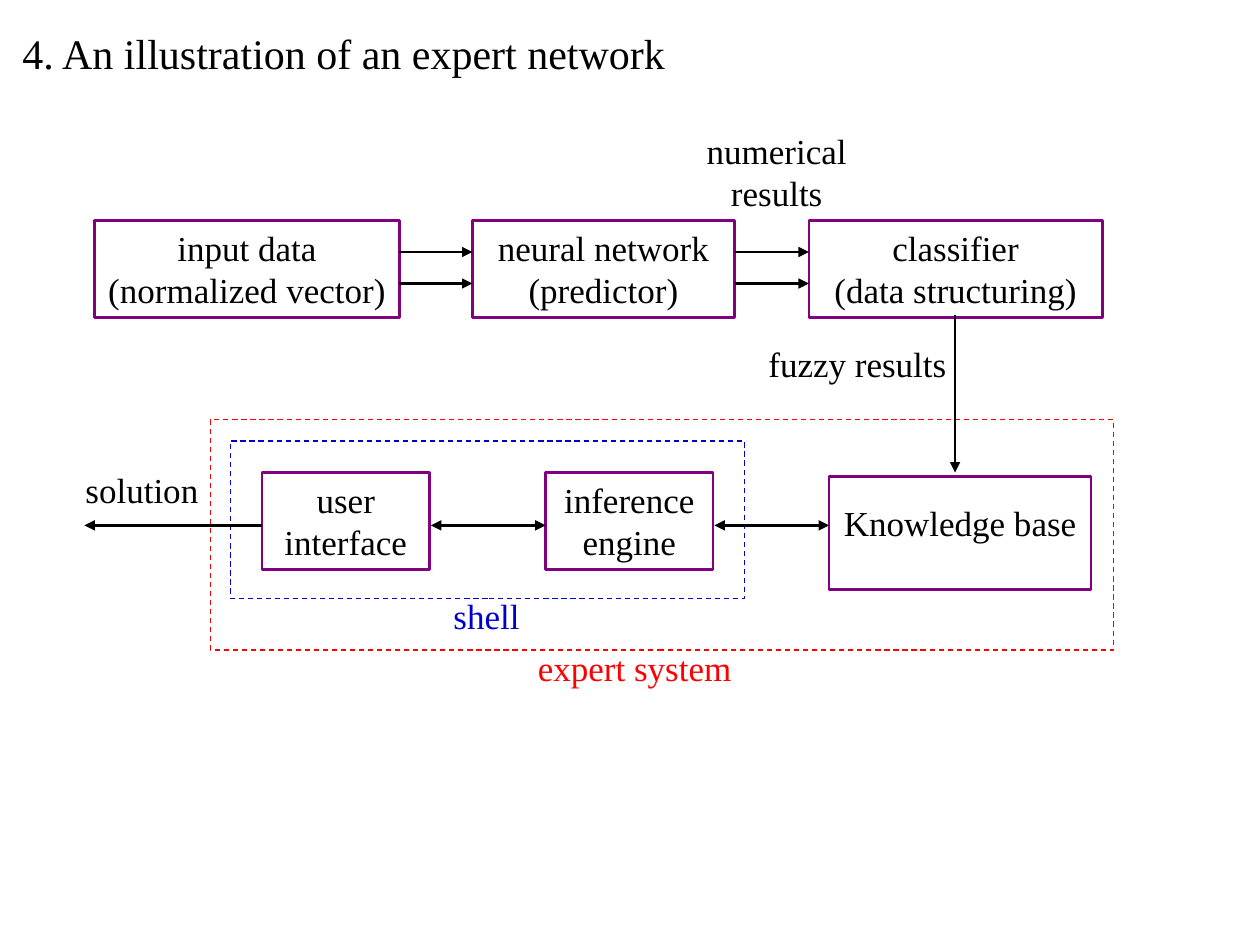
from lxml import etree
from pptx import Presentation
from pptx.dml.color import RGBColor
from pptx.enum.dml import MSO_LINE
from pptx.enum.shapes import MSO_CONNECTOR, MSO_SHAPE
from pptx.enum.text import MSO_ANCHOR, PP_ALIGN
from pptx.oxml.ns import qn
from pptx.util import Inches, Pt

RECTANGLE = MSO_SHAPE.RECTANGLE
STRAIGHT = MSO_CONNECTOR.STRAIGHT
DASH = MSO_LINE.DASH
TOP, MIDDLE = MSO_ANCHOR.TOP, MSO_ANCHOR.MIDDLE
LEFT, CENTER = PP_ALIGN.LEFT, PP_ALIGN.CENTER

BLACK = RGBColor(0x00, 0x00, 0x00)
RED = RGBColor(0xFF, 0x00, 0x00)
BLUE = RGBColor(0x00, 0x00, 0xCC)
PURPLE = RGBColor(0x80, 0x00, 0x80)
FONT = "Times New Roman"

BOX_HEIGHT = 0.77
PIPELINE_TOP = 1.75
SYSTEM_TOP = 3.75
SYSTEM_FLOW_Y = 4.17


def write_lines(shape, lines, color=BLACK, size=20, align=CENTER, anchor=TOP):
    """Put each line in its own paragraph."""
    frame = shape.text_frame
    frame.word_wrap = True
    frame.vertical_anchor = anchor
    for index, line in enumerate(lines):
        paragraph = frame.add_paragraph() if index else frame.paragraphs[0]
        paragraph.alignment = align
        run = paragraph.add_run()
        run.text = line
        run.font.name = FONT
        run.font.size = Pt(size)
        run.font.color.rgb = color


def add_label(slide, left, top, width, height, lines, **style):
    label = slide.shapes.add_textbox(
        Inches(left), Inches(top), Inches(width), Inches(height))
    write_lines(label, lines, **style)


def add_outline(slide, left, top, width, height, color, line_width):
    outline = slide.shapes.add_shape(
        RECTANGLE, Inches(left), Inches(top), Inches(width), Inches(height))
    outline.shadow.inherit = False
    outline.fill.background()
    outline.line.color.rgb = color
    outline.line.width = Pt(line_width)
    return outline


def add_dashed_frame(slide, left, top, width, height, color):
    frame = add_outline(slide, left, top, width, height, color, 0.75)
    frame.line.dash_style = DASH


def add_box(slide, left, top, width, lines, height=BOX_HEIGHT):
    box = add_outline(slide, left, top, width, height, PURPLE, 1.5)
    write_lines(box, lines)
    return box


def add_arrow(slide, start, end, both_ways=False):
    arrow = slide.shapes.add_connector(
        STRAIGHT, *(Inches(value) for value in (*start, *end)))
    arrow.line.color.rgb = BLACK
    arrow.line.width = Pt(1.5)
    line = arrow.line._get_or_add_ln()
    if both_ways:
        etree.SubElement(line, qn("a:headEnd"), type="triangle")
    etree.SubElement(line, qn("a:tailEnd"), type="triangle")
    etree.SubElement(arrow._element.spPr, qn("a:effectLst"))


def add_pipeline(slide):
    for left, width, lines in (
        (0.75, 2.42, ("input data", "(normalized vector)")),
        (3.75, 2.08, ("neural network", "(predictor)")),
        (6.42, 2.33, ("classifier", "(data structuring)")),
    ):
        add_box(slide, left, PIPELINE_TOP, width, lines)
    for start, end in ((3.17, 3.75), (5.83, 6.42)):
        for y in (2, 2.25):
            add_arrow(slide, (start, y), (end, y))
    add_label(slide, 5.5, 0.98, 1.33, BOX_HEIGHT, ("numerical", "results"))


def add_expert_system(slide):
    add_dashed_frame(slide, 1.67, 3.33, 7.17, 1.83, RED)
    add_dashed_frame(slide, 1.83, 3.5, 4.08, 1.25, BLUE)
    add_box(slide, 2.08, SYSTEM_TOP, 1.33, ("user", "interface"))
    add_box(slide, 4.33, SYSTEM_TOP, 1.33, ("inference", "engine"))
    knowledge_base = add_box(slide, 6.58, 3.78, 2.08, ("Knowledge base",), 0.9)
    knowledge_base.text_frame.margin_top = Inches(0.2)
    for start, end in ((3.42, 4.33), (5.67, 6.58)):
        add_arrow(slide, (start, SYSTEM_FLOW_Y), (end, SYSTEM_FLOW_Y), both_ways=True)
    add_arrow(slide, (2.08, SYSTEM_FLOW_Y), (0.67, SYSTEM_FLOW_Y))
    add_arrow(slide, (7.58, 2.5), (7.58, 3.75))
    for left, top, width, text, color in (
        (3.5, 4.67, 0.75, "shell", BLUE),
        (4.17, 5.08, 1.75, "expert system", RED),
        (0.58, 3.67, 1.17, "solution", BLACK),
        (6, 2.67, 1.67, "fuzzy results", BLACK),
    ):
        add_label(slide, left, top, width, 0.44, (text,), color=color, align=LEFT)


def main():
    presentation = Presentation()
    presentation.slide_width = Inches(10)
    presentation.slide_height = Inches(7.5)
    slide = presentation.slides.add_slide(presentation.slide_layouts[6])
    add_label(slide, 0.08, 0.08, 5.58, 0.67,
              ("4. An illustration of an expert network",),
              size=24, align=LEFT, anchor=MIDDLE)
    add_pipeline(slide)
    add_expert_system(slide)
    presentation.save("out.pptx")


if __name__ == "__main__":
    main()
